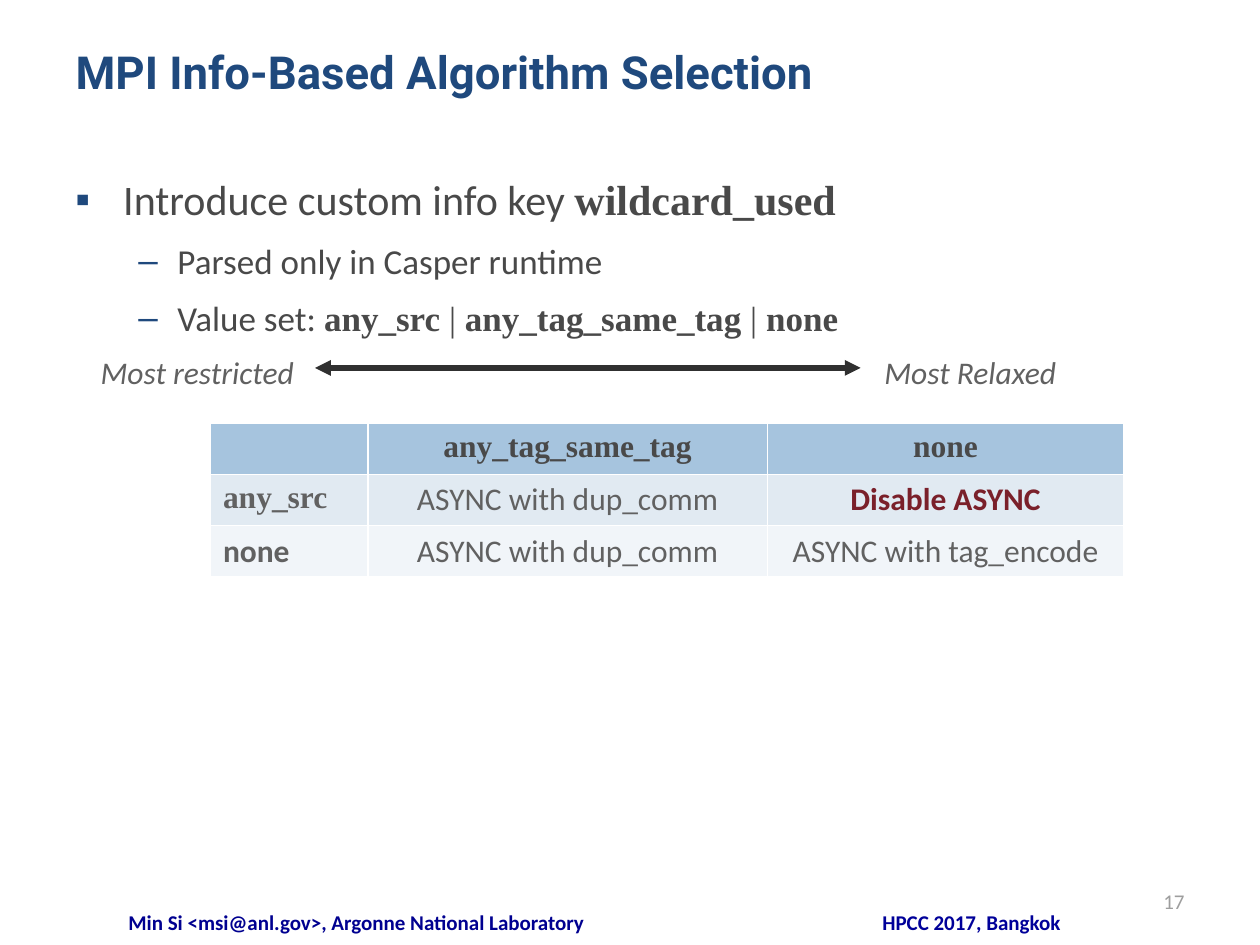
from lxml import etree
from pptx import Presentation
from pptx.dml.color import RGBColor
from pptx.enum.shapes import MSO_CONNECTOR
from pptx.enum.text import MSO_ANCHOR, PP_ALIGN
from pptx.oxml.ns import qn
from pptx.util import Inches, Pt

SANS, SERIF, HEADING = "Calibri", "Times New Roman", "Roboto"
NAVY, DARK, GREY, RED = "1F497D", "494949", "616161", "7A202A"


def color(hex_string):
    """Turn a hex string into a colour."""
    return RGBColor.from_string(hex_string)


def set_font(font, size, hex_string, name=SANS, bold=False, italic=False):
    """Format the font of a paragraph or run."""
    font.size, font.name, font.bold, font.italic = Pt(size), name, bold, italic
    font.color.rgb = color(hex_string)


def add_text(slide, box, text, size, hex_string, align=PP_ALIGN.LEFT,
             anchor=MSO_ANCHOR.TOP, wrap=True, **style):
    """Place a one-paragraph text box."""
    frame = slide.shapes.add_textbox(*map(Inches, box)).text_frame
    frame.word_wrap, frame.vertical_anchor = wrap, anchor
    paragraph = frame.paragraphs[0]
    paragraph.text, paragraph.alignment = text, align
    set_font(paragraph.font, size, hex_string, **style)


def add_title(slide, box, text):
    """Move and format the title placeholder."""
    title = slide.shapes.title
    title.left, title.top, title.width, title.height = map(Inches, box)
    frame = title.text_frame
    frame.vertical_anchor = MSO_ANCHOR.TOP
    paragraph = frame.paragraphs[0]
    paragraph.text, paragraph.alignment = text, PP_ALIGN.LEFT
    set_font(paragraph.font, 26, NAVY, HEADING, bold=True)


def add_bullet(paragraph, character, margin, hanging):
    """Give a paragraph a coloured bullet and a hanging indent."""
    properties = paragraph._p.get_or_add_pPr()
    properties.set("marL", str(Inches(margin)))
    properties.set("indent", str(-Inches(hanging)))
    bullet_color = etree.SubElement(properties, qn("a:buClr"))
    etree.SubElement(bullet_color, qn("a:srgbClr"), val=NAVY)
    etree.SubElement(properties, qn("a:buFont"), typeface="Arial")
    etree.SubElement(properties, qn("a:buChar"), char=character)


def add_bullets(slide, box, items):
    """Place a two-level list of (level, [(text, is_key, is_bold)])."""
    levels = [("▪", 0.38, 0.38, 24), ("–", 0.81, 0.31, 20)]
    frame = slide.shapes.add_textbox(*map(Inches, box)).text_frame
    frame.word_wrap = True
    for index, (level, runs) in enumerate(items):
        paragraph = frame.add_paragraph() if index else frame.paragraphs[0]
        character, margin, hanging, size = levels[level]
        paragraph.level, paragraph.line_spacing = level, 1.2
        paragraph.space_before = Pt(0.2 * size if index else 0)
        add_bullet(paragraph, character, margin, hanging)
        for text, is_key, is_bold in runs:
            run = paragraph.add_run()
            run.text = text
            set_font(run.font, size, DARK, SERIF if is_key else SANS, is_bold)


def add_scale(slide, box):
    """Place the double arrow between its two end labels."""
    left, top, width, height = box
    for offset, label_width, text in [(0, 1.8, "Most restricted"),
                                      (width - 1.58, 1.58, "Most Relaxed")]:
        add_text(slide, (left + offset, top, label_width, height), text, 18,
                 GREY, wrap=False, italic=True)
    y = Inches(top + 0.17)
    arrow = slide.shapes.add_connector(
        MSO_CONNECTOR.STRAIGHT, Inches(left + 1.8), y,
        Inches(left + width - 1.67), y)
    arrow.line.color.rgb, arrow.line.width = color("303030"), Pt(3)
    line = arrow.line._get_or_add_ln()
    for end in ("a:headEnd", "a:tailEnd"):
        etree.SubElement(line, qn(end), type="triangle")
    etree.SubElement(arrow._element.spPr, qn("a:effectLst"))


def add_algorithm_table(slide, box):
    """Place the table of algorithms by pair of info values."""
    rows = [["", "any_tag_same_tag", "none"],
            ["any_src", "ASYNC with dup_comm", "Disable ASYNC"],
            ["none", "ASYNC with dup_comm", "ASYNC with tag_encode"]]
    fills = ["A6C4DE", "E1EAF2", "F1F5F9"]
    table = slide.shapes.add_table(3, 3, *map(Inches, box)).table
    for column, width in zip(table.columns, [1.25, 3.17, 2.83]):
        column.width = Inches(width)
    for r, texts in enumerate(rows):
        for c, text in enumerate(texts):
            cell = table.cell(r, c)
            cell.fill.solid()
            cell.fill.fore_color.rgb = color(fills[r])
            paragraph = cell.text_frame.paragraphs[0]
            paragraph.text = text
            paragraph.alignment = PP_ALIGN.CENTER if c else PP_ALIGN.LEFT
            warning = text == "Disable ASYNC"
            hex_string = RED if warning else GREY if r else DARK
            name = SERIF if r == 0 or text == "any_src" else SANS
            set_font(paragraph.font, 18, hex_string, name,
                     bold=r == 0 or c == 0 or warning)


def add_footer(slide, top):
    """Place the author, the venue and the slide number."""
    add_text(slide, (0.83, top, 4, 0.25),
             "Min Si <msi@anl.gov>, Argonne National Laboratory", 12,
             "000090", PP_ALIGN.CENTER, bold=True)
    add_text(slide, (5.75, top, 3.92, 0.25), "HPCC 2017, Bangkok", 12,
             "000099", PP_ALIGN.CENTER, bold=True)
    add_text(slide, (7.17, top - 0.22, 2.33, 0.4), "17", 12, "9E9E9E",
             PP_ALIGN.RIGHT, MSO_ANCHOR.MIDDLE)


def main():
    """Build the slide and save it."""
    presentation = Presentation()
    presentation.slide_width, presentation.slide_height = Inches(10), Inches(7.5)
    slide = presentation.slides.add_slide(presentation.slide_layouts[5])
    add_title(slide, (0.5, 0.3, 9, 0.87), "MPI Info-Based Algorithm Selection")
    add_bullets(slide, (0.5, 1.25, 9, 5.67), [
        (0, [("Introduce custom info key ", False, False),
             ("wildcard_used", True, True)]),
        (1, [("Parsed only in Casper runtime", False, False)]),
        (1, [("Value set: ", False, False), ("any_src", True, True),
             (" | ", True, False), ("any_tag_same_tag", True, True),
             (" | ", True, False), ("none", True, True)]),
    ])
    add_footer(slide, 7.17)
    add_algorithm_table(slide, (1.67, 3.36, 7.25, 1.22))
    add_scale(slide, (0.7, 2.75, 7.8, 0.4))
    presentation.save("out.pptx")


if __name__ == "__main__":
    main()
